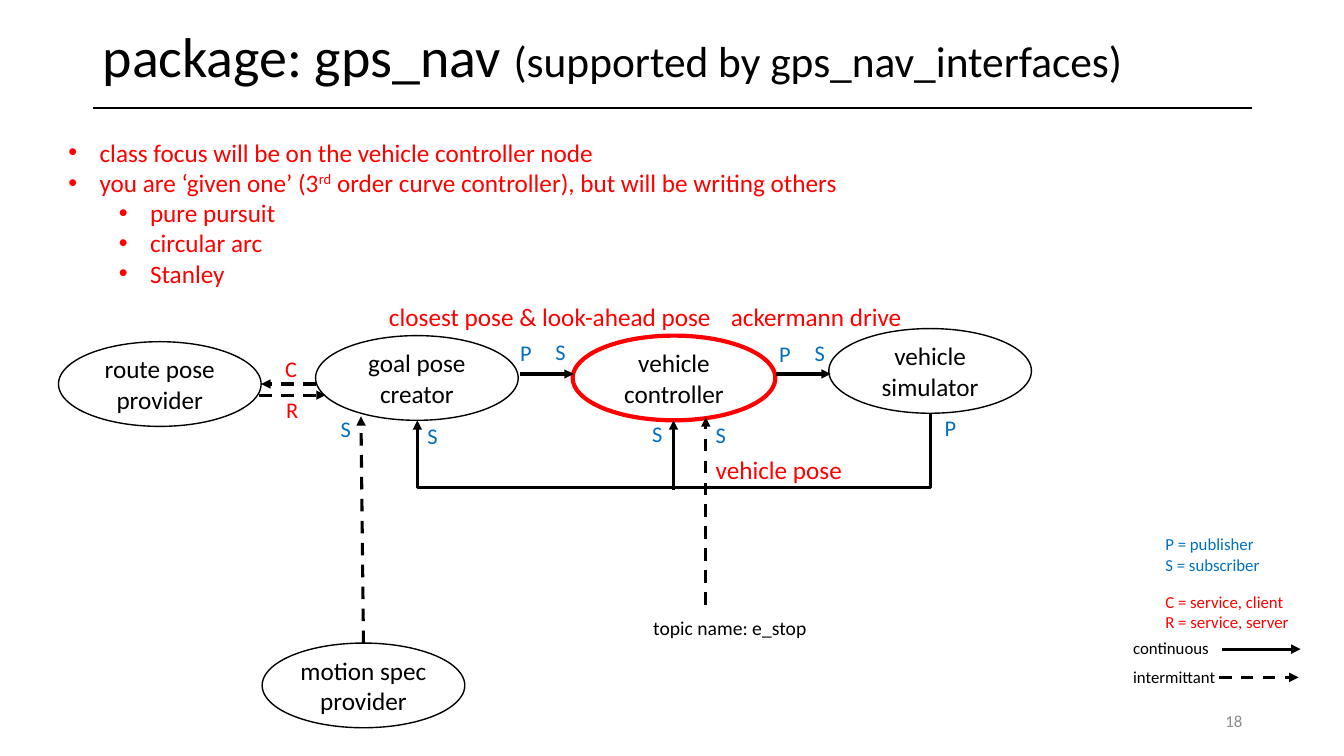
from lxml.etree import SubElement
from pptx import Presentation
from pptx.dml.color import RGBColor
from pptx.enum.dml import MSO_LINE
from pptx.enum.shapes import MSO_CONNECTOR, MSO_SHAPE
from pptx.enum.text import MSO_ANCHOR, MSO_AUTO_SIZE, PP_ALIGN
from pptx.oxml.ns import qn
from pptx.util import Inches, Pt

BLACK = RGBColor(0x00, 0x00, 0x00)
RED = RGBColor(0xFF, 0x00, 0x00)
BLUE = RGBColor(0x00, 0x70, 0xC0)
GRAY = RGBColor(0x8C, 0x8C, 0x8C)

FONT = "Calibri"
NODE_WIDTH, NODE_HEIGHT = 2.01, 0.84
LABEL_FRAME = {"word_wrap": False, "auto_size": MSO_AUTO_SIZE.SHAPE_TO_FIT_TEXT}
FIXED_FRAME = {"word_wrap": True, "vertical_anchor": MSO_ANCHOR.MIDDLE}
NODE_FRAME = FIXED_FRAME | dict.fromkeys(
    ("margin_left", "margin_right", "margin_top", "margin_bottom"), 0)


def apply_format(target, values):
    for name, value in values.items():
        setattr(target, name, value)


def add_run(paragraph, text, size, color):
    run = paragraph.add_run()
    run.text = text
    apply_format(run.font, {"name": FONT, "size": Pt(size)})
    run.font.color.rgb = color
    return run


def fill_frame(frame, lines, size, color, frame_format, paragraph_format):
    apply_format(frame, frame_format)
    for index, line in enumerate(lines):
        paragraph = frame.add_paragraph() if index else frame.paragraphs[0]
        apply_format(paragraph, paragraph_format)
        add_run(paragraph, line, size, color)
    return frame


def add_text(slide, box, lines, size, color, frame_format=LABEL_FRAME, **paragraph_format):
    textbox = slide.shapes.add_textbox(*map(Inches, box))
    return fill_frame(textbox.text_frame, lines, size, color, frame_format, paragraph_format)


def add_node(slide, left, top, lines, color=BLACK, weight=1):
    box = (left, top, NODE_WIDTH, NODE_HEIGHT)
    node = slide.shapes.add_shape(MSO_SHAPE.OVAL, *map(Inches, box))
    node.shadow.inherit = False
    node.fill.background()
    node.line.color.rgb = color
    node.line.width = Pt(weight)
    fill_frame(node.text_frame, lines, 18, BLACK, NODE_FRAME, {"alignment": PP_ALIGN.CENTER})
    return node


def add_line(slide, start, end, weight=2.25, arrow=True, dashed=False, kind=MSO_CONNECTOR.STRAIGHT):
    connector = slide.shapes.add_connector(kind, *map(Inches, start + end))
    connector.line.color.rgb = BLACK
    connector.line.width = Pt(weight)
    if dashed:
        connector.line.dash_style = MSO_LINE.DASH
    if arrow:
        SubElement(connector.line._get_or_add_ln(), qn("a:tailEnd"), type="triangle")
    SubElement(connector._element.spPr, qn("a:effectLst"))
    return connector


def add_pose_feedback(slide, start, end, depth):
    center_x, center_y = (start[0] + end[0]) / 2, (start[1] + end[1]) / 2
    half_width, half_height = (end[1] - start[1]) / 2, (start[0] - end[0]) / 2
    connector = add_line(slide, (center_x - half_width, center_y - half_height),
                         (center_x + half_width, center_y + half_height), kind=MSO_CONNECTOR.ELBOW)
    properties = connector._element.spPr
    properties.find(qn("a:xfrm")).set("rot", "5400000")
    adjustments = properties.find(qn("a:prstGeom")).find(qn("a:avLst"))
    bend = round(depth / (end[1] - start[1]) * 100000)
    SubElement(adjustments, qn("a:gd"), name="adj1", fmla=f"val {bend}")


def add_bullets(slide, box, items):
    frame = add_text(slide, box, [""] * len(items), 18, RED)
    for paragraph, (level, parts) in zip(frame.paragraphs, items):
        paragraph.clear()
        paragraph.level = level
        properties = paragraph._p.get_or_add_pPr()
        properties.set("marL", str(Inches(0.31 + 0.5 * level)))
        properties.set("indent", str(Inches(-0.31)))
        SubElement(properties, qn("a:buFont"), typeface="Arial")
        SubElement(properties, qn("a:buChar"), char="•")
        for text, baseline in parts:
            run = add_run(paragraph, text, 18, RED)
            run.font._element.set("baseline", str(baseline))


def add_heading(slide):
    add_line(slide, (0.92, 1.07), (12.42, 1.07), weight=1, arrow=False)
    frame = add_text(slide, (0.92, 0.16, 11.5, 0.86), ["package: gps_nav "], 40, BLACK,
                     FIXED_FRAME, line_spacing=0.9)
    add_run(frame.paragraphs[0], "(supported by gps_nav_interfaces)", 31, BLACK)
    add_bullets(slide, (0.58, 1.31, 7.94, 1.92), [
        (0, [("class focus will be on the vehicle controller node", 0)]),
        (0, [("you are ‘given one’ (3", 0), ("rd", 30000),
             (" order curve controller), but will be writing others", 0)]),
        (1, [("pure pursuit", 0)]),
        (1, [("circular arc", 0)]),
        (1, [("Stanley", 0)]),
    ])


def add_diagram(slide):
    add_node(slide, 8.22, 3.26, ["vehicle", "simulator"])
    add_node(slide, 0.58, 3.39, ["route pose", "provider"])
    add_node(slide, 3.13, 3.33, ["goal pose", "creator"])
    add_node(slide, 5.68, 3.33, ["vehicle", "controller"], RED, 3)
    motion_spec = add_node(slide, 2.6, 6.38, ["motion spec provider"])

    for start, end, dashed in [
        ((3.13, 3.81), (2.59, 3.81), True),
        ((2.57, 3.92), (3.23, 3.92), True),
        ((5.16, 3.71), (5.69, 3.71), False),
        ((7.7, 3.71), (8.24, 3.71), False),
        ((6.68, 4.86), (6.68, 4.17), False),
        ((7, 6), (7, 4.14), True),
    ]:
        add_line(slide, start, end, dashed=dashed)
    motion_link = add_line(slide, (3.61, 6.38), (3.58, 4.13), dashed=True)
    motion_link.begin_connect(motion_spec, 0)
    add_pose_feedback(slide, (9.23, 4.1), (4.14, 4.17), 0.74)

    for letter, color, places in [
        ("P", BLUE, [(9.27, 4.06), (7.63, 3.33), (5.06, 3.32)]),
        ("S", BLUE, [(6.37, 4.12), (4.14, 4.14), (7.98, 3.32), (5.41, 3.31),
                     (3.28, 4.07), (7, 4.13)]),
        ("C", RED, [(2.73, 3.47)]),
        ("R", RED, [(2.74, 3.88)]),
    ]:
        for left, top in places:
            add_text(slide, (left, top, 0.32, 0.37), [letter], 16, color)

    for text, left, top, width in [
        ("vehicle pose", 7, 4.46, 1.47),
        ("closest pose & look-ahead pose", 3.76, 2.94, 3.44),
        ("ackermann drive", 7.15, 2.94, 1.91),
    ]:
        add_text(slide, (left, top, width, 0.4), [text], 18, RED)
    add_text(slide, (6.38, 6.06, 1.74, 0.34), ["topic name: e_stop"], 14, BLACK)


def add_legend(slide):
    roles = add_text(slide, (11.46, 5.25, 1.44, 1.08), ["P = publisher", "S = subscriber"], 12, BLUE)
    for text, gap in [("C = service, client", 12), ("R = service, server", 0)]:
        paragraph = roles.add_paragraph()
        paragraph.space_before = Pt(gap)
        add_run(paragraph, text, 12, RED)
    rates = add_text(slide, (11.14, 6.28, 1.03, 0.59), ["continuous", "intermittant"], 12, BLACK)
    rates.paragraphs[1].space_before = Pt(6)
    add_line(slide, (12.12, 6.44), (12.9, 6.44))
    add_line(slide, (12.09, 6.72), (12.88, 6.72), dashed=True)


def main():
    presentation = Presentation()
    presentation.slide_width = Inches(13.33)
    presentation.slide_height = Inches(7.5)
    slide = presentation.slides.add_slide(presentation.slide_layouts[6])
    add_heading(slide)
    add_diagram(slide)
    add_legend(slide)
    add_text(slide, (9.42, 6.95, 3, 0.4), ["18"], 12, GRAY, FIXED_FRAME, alignment=PP_ALIGN.RIGHT)
    presentation.save("out.pptx")


if __name__ == "__main__":
    main()
